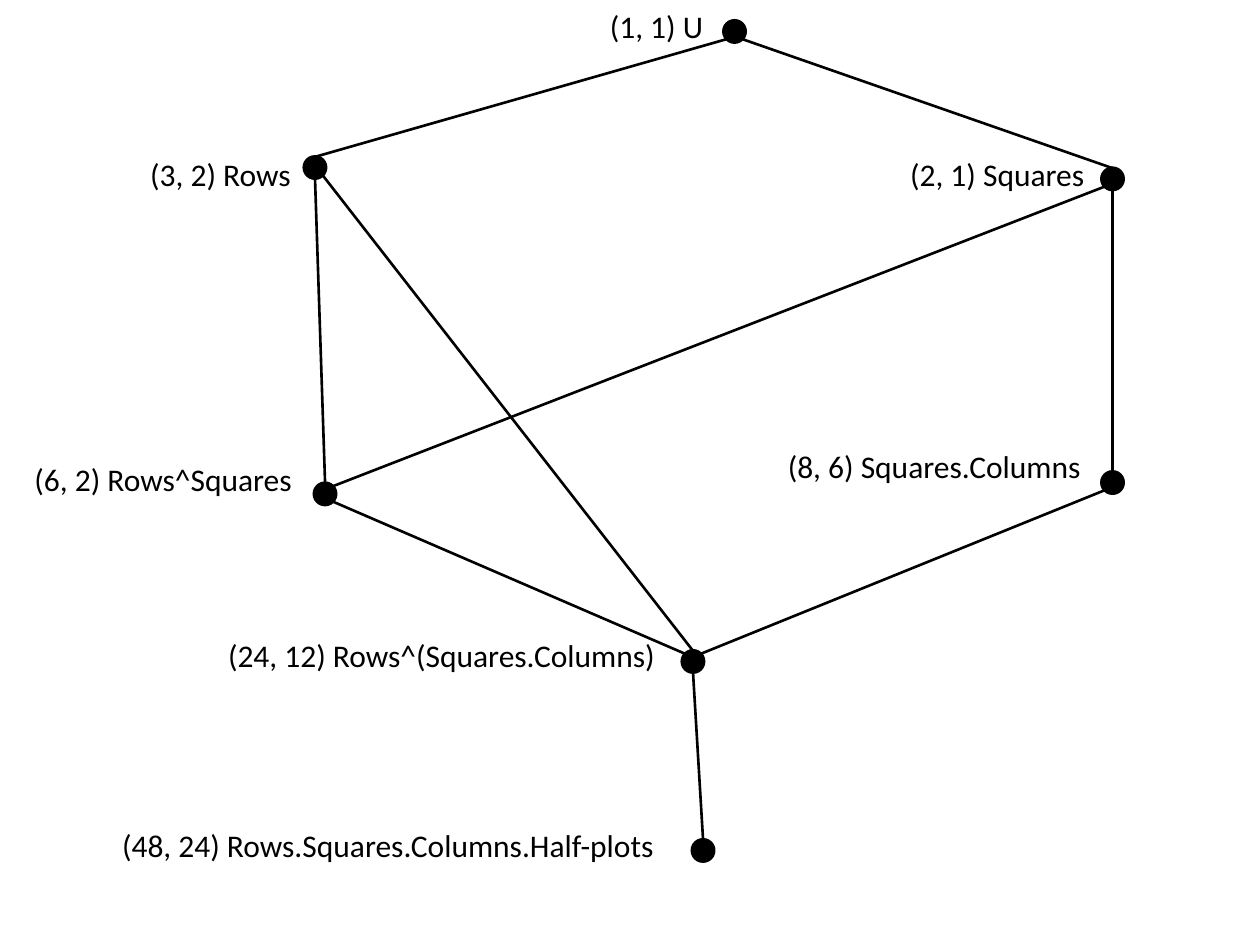
from math import cos, radians, sin

from lxml.etree import SubElement
from pptx import Presentation
from pptx.dml.color import RGBColor
from pptx.enum.shapes import MSO_CONNECTOR, MSO_SHAPE
from pptx.enum.text import PP_ALIGN
from pptx.oxml.ns import qn
from pptx.util import Inches, Pt

BLACK = RGBColor(0, 0, 0)
DOT_SIZE = 0.17
ANGLES = {
    "right": 0, "bottom right": 45, "bottom": 90, "bottom left": 135,
    "top left": 225, "top": 270, "top right": 315,
}

NODES = {
    "universe": ("(1, 1) U", (4.67, 0.01, 1.08), (5.83, 0.25)),
    "rows": ("(3, 2) Rows", (1, 1.18, 1.5), (2.5, 1.33)),
    "squares": ("(2, 1) Squares", (7, 1.18, 1.83), (8.83, 1.42)),
    "rows^squares": ("(6, 2) Rows^Squares", (0.17, 3.6, 2.25), (2.58, 3.92)),
    "columns": ("(8, 6) Squares.Columns", (6.08, 3.5, 2.67), (8.83, 3.83)),
    "plots": ("(24, 12) Rows^(Squares.Columns)", (1.67, 5, 3.67), (5.5, 5.25)),
    "half-plots": ("(48, 24) Rows.Squares.Columns.Half-plots", (0.83, 6.51, 4.5), (5.58, 6.75)),
}

EDGES = [
    ("universe", "bottom left", "rows", "top"),
    ("universe", "bottom right", "squares", "top"),
    ("rows", "bottom", "rows^squares", "top"),
    ("rows", "bottom right", "plots", "top"),
    ("squares", "bottom left", "rows^squares", "top right"),
    ("squares", "bottom", "columns", "top"),
    ("rows^squares", "bottom right", "plots", "top left"),
    ("columns", "bottom left", "plots", "top right"),
    ("plots", "bottom", "half-plots", "top"),
]


class Diagram:
    font = "Calibri"
    font_size = Pt(18)
    edge_width = Pt(1.5)
    dot_line_width = Pt(2)

    def __init__(self, slide):
        self.shapes = slide.shapes

    def label(self, text, left, top, width, align=PP_ALIGN.CENTER):
        box = self.shapes.add_textbox(Inches(left), Inches(top), Inches(width), Inches(0.4))
        box.text_frame.word_wrap = True
        para = box.text_frame.paragraphs[0]
        para.alignment = align
        span = para.add_run()
        span.text = text
        span.font.name = self.font
        span.font.size = self.font_size
        span.font.color.rgb = BLACK

    def edge(self, start, end):
        line = self.shapes.add_connector(
            MSO_CONNECTOR.STRAIGHT, *(Inches(value) for value in start + end))
        line.line.color.rgb = BLACK
        line.line.width = self.edge_width
        SubElement(line._element.spPr, qn("a:effectLst"))

    def dot(self, x, y):
        size = Inches(DOT_SIZE)
        dot = self.shapes.add_shape(
            MSO_SHAPE.OVAL, Inches(x - DOT_SIZE / 2), Inches(y - DOT_SIZE / 2), size, size)
        dot.shadow.inherit = False
        dot.fill.solid()
        dot.fill.fore_color.rgb = BLACK
        dot.line.color.rgb = BLACK
        dot.line.width = self.dot_line_width


def rim_point(node, side):
    x, y = NODES[node][2]
    angle = radians(ANGLES[side])
    return x + DOT_SIZE / 2 * cos(angle), y + DOT_SIZE / 2 * sin(angle)


deck = Presentation()
deck.slide_width, deck.slide_height = Inches(10), Inches(7.5)
diagram = Diagram(deck.slides.add_slide(deck.slide_layouts[6]))

for text, place, center in NODES.values():
    diagram.label(text, *place)
for upper, upper_side, lower, lower_side in EDGES:
    diagram.edge(rim_point(upper, upper_side), rim_point(lower, lower_side))
for text, place, center in NODES.values():
    diagram.dot(*center)

deck.save("out.pptx")
